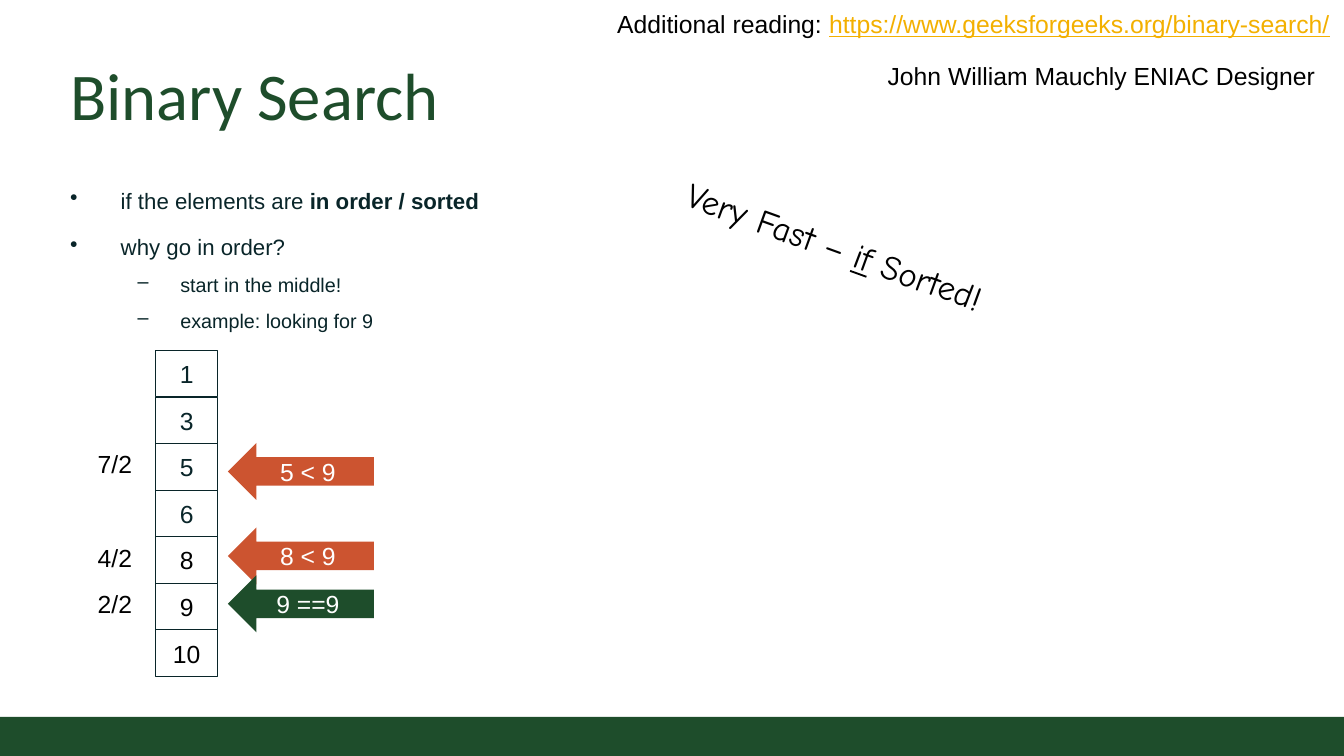
"""Build the Binary Search slide."""
import pptx
import pptx.dml.color
import pptx.enum.shapes
import pptx.enum.text
import pptx.oxml
import pptx.util

Pt = pptx.util.Pt
RGBColor = pptx.dml.color.RGBColor
MSO_SHAPE = pptx.enum.shapes.MSO_SHAPE
MSO_ANCHOR = pptx.enum.text.MSO_ANCHOR
PP_ALIGN = pptx.enum.text.PP_ALIGN

GREEN = RGBColor(0x1E, 0x4D, 0x2B)
INK = RGBColor(0x09, 0x25, 0x29)
ORANGE = RGBColor(0xCC, 0x54, 0x30)
GOLD = RGBColor(0xF3, 0xB0, 0x00)
BLACK = RGBColor(0, 0, 0)
WHITE = RGBColor(0xFF, 0xFF, 0xFF)

WIDTH, HEIGHT = 1088, 612
FOOTER_TOP = 580.3
TITLE = "Binary Search"
BULLETS = [
    (0, [("if the elements are ", {}), ("in order / sorted", {"bold": True})]),
    (0, [("why go in order?", {})]),
    (1, [("start in the middle!", {})]),
    (1, [("example: looking for 9", {})]),
]
LEVELS = [
    {"bullet": "•", "margin": 41, "indent": -41, "size": 18, "before": 6},
    {"bullet": "–", "margin": 89.3, "indent": -34.6, "size": 16, "before": 0},
]
VALUES = [(1, INK), (3, INK), (5, INK), (6, INK), (8, BLACK), (9, BLACK), (10, BLACK)]
CELL_LEFT, CELL_TOP, CELL_WIDTH, CELL_HEIGHT = 126, 283.7, 50.4, 37.7
MIDPOINTS = [("7/2", 2), ("4/2", 4), ("2/2", 5)]
COMPARISONS = [("5 < 9", 358.6, ORANGE), ("8 < 9", 427, ORANGE), ("9 ==9", 465.8, GREEN)]
READING = [
    ("Additional reading: ", {}),
    ("https://www.geeksforgeeks.org/binary-search/", {"underline": True, "color": GOLD}),
]
DESIGNER = "John William Mauchly ENIAC Designer"
VERDICT = [("Very Fast – ", {}), ("if", {"underline": True}), (" Sorted!", {})]


def set_font(font, size, color, name="Arial"):
    font.size, font.name = Pt(size), name
    font.color.rgb = color


def add_runs(paragraph, runs):
    for text, style in runs:
        run = paragraph.add_run()
        run.text = text
        if "bold" in style:
            run.font.bold = style["bold"]
        if "underline" in style:
            run.font.underline = style["underline"]
        if "color" in style:
            run.font.color.rgb = style["color"]


def set_insets(frame, horizontal, vertical):
    frame.margin_left = frame.margin_right = Pt(horizontal)
    frame.margin_top = frame.margin_bottom = Pt(vertical)


def add_text(slide, box, runs, size=20, color=BLACK, name="Arial", wrap=False):
    shape = slide.shapes.add_textbox(*map(Pt, box))
    shape.text_frame.word_wrap = wrap
    paragraph = shape.text_frame.paragraphs[0]
    add_runs(paragraph, runs)
    set_font(paragraph.font, size, color, name)
    return shape


def add_box(slide, kind, box, fill=None, line=None):
    shape = slide.shapes.add_shape(kind, *map(Pt, box))
    shape.shadow.inherit = False
    if fill is None:
        shape.fill.background()
    else:
        shape.fill.solid()
        shape.fill.fore_color.rgb = fill
    if line is None:
        shape.line.fill.background()
    else:
        shape.line.color.rgb = line
        shape.line.width = Pt(0.75)
    return shape


def label_box(shape, text, color, insets):
    frame = shape.text_frame
    set_insets(frame, *insets)
    frame.vertical_anchor = MSO_ANCHOR.MIDDLE
    paragraph = frame.paragraphs[0]
    paragraph.text = text
    paragraph.alignment = PP_ALIGN.CENTER
    set_font(paragraph.font, 20, color)


def add_bullets(slide):
    frame = slide.shapes.add_textbox(Pt(49.7), Pt(139.7), Pt(989.3), Pt(135.4)).text_frame
    frame.word_wrap = True
    set_insets(frame, 7.2, 7.2)
    for index, (level, runs) in enumerate(BULLETS):
        style = LEVELS[level]
        paragraph = frame.add_paragraph() if index else frame.paragraphs[0]
        paragraph.level = level
        paragraph.line_spacing = 1.2
        paragraph.space_before = Pt(style["before"] if index else 0)
        paragraph.space_after = Pt(6)
        properties = paragraph._p.get_or_add_pPr()
        properties.set("marL", str(Pt(style["margin"])))
        properties.set("indent", str(Pt(style["indent"])))
        bullet = pptx.oxml.parse_xml(
            '<a:buChar xmlns:a="http://schemas.openxmlformats.org/drawingml/2006/main" '
            f'char="{style["bullet"]}"/>')
        properties.append(bullet)
        add_runs(paragraph, runs)
        set_font(paragraph.font, style["size"], INK)


def main():
    presentation = pptx.Presentation()
    presentation.slide_width, presentation.slide_height = Pt(WIDTH), Pt(HEIGHT)
    slide = presentation.slides.add_slide(presentation.slide_layouts[6])

    add_box(slide, MSO_SHAPE.RECTANGLE, (0, FOOTER_TOP, WIDTH, HEIGHT - FOOTER_TOP), GREEN)
    title = add_text(slide, (49.7, 35.3, 989.3, 79.9), [(TITLE, {})], 54, GREEN, "Calibri", True)
    title.text_frame.vertical_anchor = MSO_ANCHOR.BOTTOM
    set_insets(title.text_frame, 7.2, 7.2)
    add_bullets(slide)

    for row, (value, color) in enumerate(VALUES):
        top = CELL_TOP + row * CELL_HEIGHT
        cell = add_box(slide, MSO_SHAPE.RECTANGLE, (CELL_LEFT, top, CELL_WIDTH, CELL_HEIGHT), line=INK)
        label_box(cell, str(value), color, (0, 0))
    for text, top, fill in COMPARISONS:
        arrow = add_box(slide, MSO_SHAPE.LEFT_ARROW, (184.5, top, 118.1, 46.1), fill)
        label_box(arrow, text, WHITE, (21.6, 14.4))
    for text, row in MIDPOINTS:
        add_text(slide, (72, CELL_TOP + row * CELL_HEIGHT + 1, 42.5, 31.7), [(text, {})])

    verdict = add_text(slide, (541.4, 187.2, 315.4, 41), VERDICT, 28, BLACK, "Comic Neue", True)
    verdict.rotation = 20
    add_text(slide, (492.5, 3.6, 595.4, 31.7), READING)
    add_text(slide, (711.4, 45.4, 363.6, 31.7), [(DESIGNER, {})])
    presentation.save("out.pptx")


if __name__ == "__main__":
    main()
